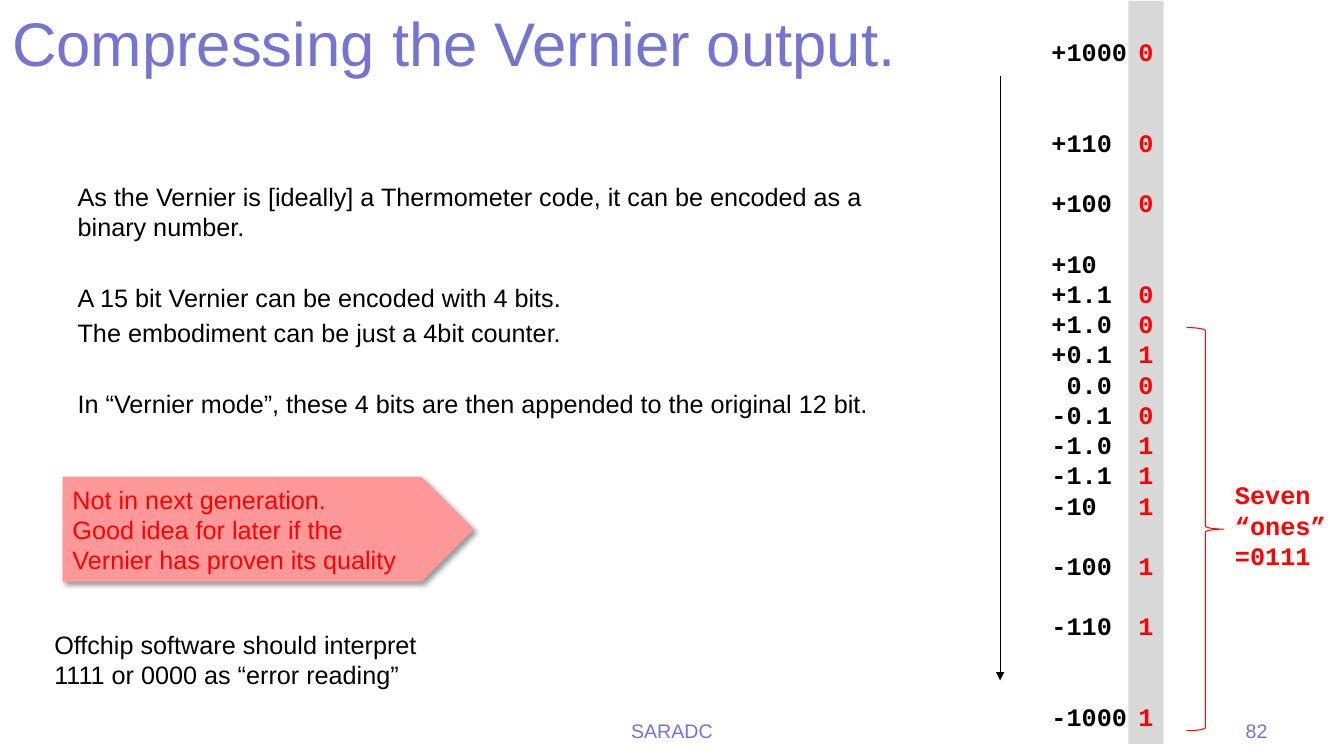
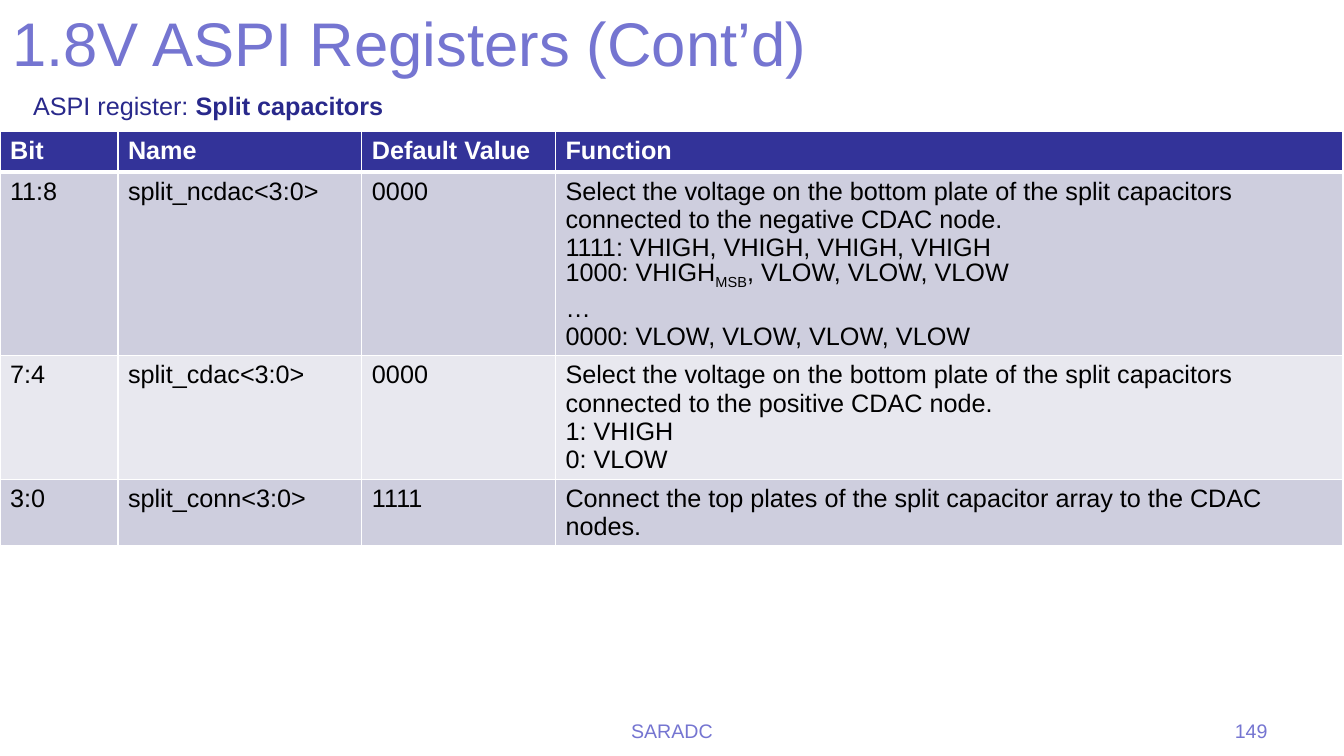
from pptx import Presentation
from pptx.dml.color import RGBColor
from pptx.enum.shapes import MSO_CONNECTOR, MSO_SHAPE
from pptx.enum.text import MSO_ANCHOR, MSO_AUTO_SIZE, PP_ALIGN
from pptx.oxml import parse_xml
from pptx.oxml.ns import nsdecls, qn
from pptx.util import Inches, Pt
from lxml.etree import SubElement

COLORS = {
    "title": "7575D1", "black": "000000", "red": "FF0000", "white": "FFFFFF",
    "bar": "D9D9D9", "note": "FF9999", "navy": "29298B",
    "header": "333399", "odd": "CECEDE", "even": "E8E8EF",
}
COLORS = {name: RGBColor.from_string(value) for name, value in COLORS.items()}
LINE = 21.6


def write(frame, paragraphs, color="black", size=18, font="Arial", bold=False,
          align=PP_ALIGN.LEFT, anchor=MSO_ANCHOR.TOP, wrap=True, pitch=None):
    frame.word_wrap = wrap
    frame.vertical_anchor = anchor
    for index, (gap, *spans) in enumerate(paragraphs):
        para = frame.paragraphs[0] if index == 0 else frame.add_paragraph()
        para.alignment = align
        para.line_spacing = Pt(pitch or size * 1.2)
        para.space_before = Pt(gap)
        for text, style in spans:
            span = para.add_run()
            span.text = text
            span.font.name = font
            span.font.size = Pt(size)
            span.font.bold = bold or style == "bold"
            span.font.color.rgb = COLORS[color]
            if style == "subscript":
                span._r.get_or_add_rPr().set("baseline", "-25000")


def plain(*lines):
    return [(0, (line, None)) for line in lines]


deck = Presentation()
deck.slide_width, deck.slide_height = Inches(13.33), Inches(7.5)

pages = []
for layout, title, number in [
    (1, "Compressing the Vernier output.", "82"),
    (5, "1.8V ASPI Registers (Cont’d)", "149"),
]:
    page = deck.slides.add_slide(deck.slide_layouts[layout])
    pages.append(page)
    heading = page.shapes.title
    heading.left, heading.top = Inches(0.02), Inches(0)
    heading.width, heading.height = Inches(12), Inches(1.25)
    heading.text_frame.auto_size = MSO_AUTO_SIZE.NONE
    write(heading.text_frame, plain(title), "title", 44)
    for left, width, text, align in [
        (4.11, 5.11, "SARADC", PP_ALIGN.CENTER),
        (9.56, 3.11, number, PP_ALIGN.RIGHT),
    ]:
        footer = page.shapes.add_textbox(
            Inches(left), Inches(7.08), Inches(width), Inches(0.42))
        write(footer.text_frame, plain(text), "title", 14, align=align)

vernier, registers = pages

body = vernier.placeholders[1]
body.left, body.top = Inches(0.67), Inches(1.75)
body.width, body.height = Inches(8.08), Inches(5.08)
body.text_frame.auto_size = MSO_AUTO_SIZE.NONE
tight, loose = 3.6, LINE + 7.2
write(body.text_frame, [
    (0, ("As the Vernier is [ideally] a Thermometer code, it can be encoded as a binary number.", None)),
    (loose, ("A 15 bit Vernier can be encoded with 4 bits.", None)),
    (tight, ("The embodiment can be just a 4bit counter.", None)),
    (loose, ("In “Vernier mode”, these 4 bits are then appended to the original 12 bit.", None)),
])
for para in body.text_frame.paragraphs:
    properties = para._p.get_or_add_pPr()
    properties.set("marL", "0")
    properties.set("indent", "0")
    SubElement(properties, qn("a:buNone"))

axis = vernier.shapes.add_connector(
    MSO_CONNECTOR.STRAIGHT, Inches(9.92), Inches(0.75), Inches(9.92), Inches(6.75))
axis.line.color.rgb = COLORS["black"]
axis.line.width = Pt(0.75)
SubElement(axis.line._get_or_add_ln(), qn("a:tailEnd"), type="triangle")
SubElement(axis._element.spPr, qn("a:effectLst"))

scale = [
    (0, "+1000", "0"), (2, "+110", "0"), (1, "+100", "0"), (1, "+10", None),
    (0, "+1.1", "0"), (0, "+1.0", "0"), (0, "+0.1", "1"), (0, " 0.0", "0"),
    (0, "-0.1", "0"), (0, "-1.0", "1"), (0, "-1.1", "1"), (0, "-10", "1"),
    (1, "-100", "1"), (1, "-110", "1"), (2, "-1000", "1"),
]
levels, bits, skipped = [], [], 0
for blank, level, bit in scale:
    levels.append((blank * LINE, (level, None)))
    skipped += blank
    if bit:
        bits.append((skipped * LINE, (bit, None)))
        skipped = 0
    else:
        skipped += 1

level_box = vernier.shapes.add_textbox(
    Inches(10.33), Inches(0.01), Inches(0.96), Inches(7.37))
bit_bar = vernier.shapes.add_shape(
    MSO_SHAPE.RECTANGLE, Inches(11.19), Inches(0.01), Inches(0.35), Inches(7.37))
bit_bar.shadow.inherit = False
bit_bar.fill.solid()
bit_bar.fill.fore_color.rgb = COLORS["bar"]
bit_bar.line.fill.background()
for box, column, color, align in [
    (level_box, levels, "black", PP_ALIGN.LEFT),
    (bit_bar, bits, "red", PP_ALIGN.CENTER),
]:
    box.text_frame.margin_top = Inches(0.35)
    write(box.text_frame, column, color, font="Courier New", bold=True,
          align=align, wrap=False)

brace = vernier.shapes.add_shape(
    MSO_SHAPE.RIGHT_BRACE, Inches(11.77), Inches(3.25), Inches(0.37), Inches(4))
brace.shadow.inherit = False
brace.fill.background()
brace.line.color.rgb = COLORS["red"]
brace.line.width = Pt(0.75)

ones = vernier.shapes.add_textbox(
    Inches(12.15), Inches(4.71), Inches(1.19), Inches(1.01))
write(ones.text_frame, plain("Seven “ones”", "=0111"), "red",
      font="Courier New", bold=True)

note = vernier.shapes.add_shape(
    MSO_SHAPE.RIGHT_ARROW, Inches(0.62), Inches(4.73), Inches(4.08), Inches(1.04))
note.adjustments[0], note.adjustments[1] = 1, 0.5
note.fill.solid()
note.fill.fore_color.rgb = COLORS["note"]
note.line.fill.background()
note._element.spPr.append(parse_xml(
    f'<a:effectLst {nsdecls("a")}><a:outerShdw blurRad="50800" dist="38100" '
    'dir="2700000" algn="tl" rotWithShape="0"><a:srgbClr val="000000">'
    '<a:alpha val="40000"/></a:srgbClr></a:outerShdw></a:effectLst>'))
write(note.text_frame, plain(
    "Not in next generation.",
    "Good idea for later if the Vernier has proven its quality",
), "red", anchor=MSO_ANCHOR.MIDDLE)

software = vernier.shapes.add_textbox(
    Inches(0.44), Inches(6.19), Inches(3.86), Inches(0.71))
write(software.text_frame, plain(
    "Offchip software should interpret 1111 or 0000 as “error reading”"))

rows = [
    (0.41, "header", [plain(name) for name in ("Bit", "Name", "Default Value", "Function")]),
    (1.82, "odd", [plain("11:8"), plain("split_ncdac<3:0>"), plain("0000"), [
        *plain("Select the voltage on the bottom plate of the split capacitors connected to the negative CDAC node.",
               "1111: VHIGH, VHIGH, VHIGH, VHIGH"),
        (0, ("1000: VHIGH", None), ("MSB", "subscript"), (", VLOW, VLOW, VLOW", None)),
        (2.6, ("…", None)),
        *plain("0000: VLOW, VLOW, VLOW, VLOW"),
    ]]),
    (1.22, "even", [plain("7:4"), plain("split_cdac<3:0>"), plain("0000"), plain(
        "Select the voltage on the bottom plate of the split capacitors connected to the positive CDAC node.",
        "1: VHIGH", "0: VLOW")]),
    (0.66, "odd", [plain("3:0"), plain("split_conn<3:0>"), plain("1111"), plain(
        "Connect the top plates of the split capacitor array to the CDAC nodes.")]),
]
widths = [1.17, 2.42, 1.92, 7.81]
table = registers.shapes.add_table(
    len(rows), len(widths), Inches(0), Inches(1.3),
    Inches(sum(widths)), Inches(sum(row[0] for row in rows))).table
for column, width in zip(table.columns, widths):
    column.width = Inches(width)
for row_index, (height, fill, cells) in enumerate(rows):
    table.rows[row_index].height = Inches(height)
    header = fill == "header"
    for column_index, paragraphs in enumerate(cells):
        cell = table.cell(row_index, column_index)
        for side in ("L", "R", "T", "B"):
            thick = (header and side == "B") or (row_index == 1 and side == "T")
            border = SubElement(cell._tc.get_or_add_tcPr(), qn(f"a:ln{side}"),
                                w=str(Pt(3 if thick else 1)))
            paint = SubElement(border, qn("a:solidFill"))
            SubElement(paint, qn("a:srgbClr"), val=str(COLORS["white"]))
        cell.fill.solid()
        cell.fill.fore_color.rgb = COLORS[fill]
        write(cell.text_frame, paragraphs, "white" if header else "black",
              bold=header, pitch=20.2)

subtitle = registers.shapes.add_textbox(
    Inches(0.23), Inches(0.85), Inches(3.71), Inches(0.4))
write(subtitle.text_frame,
      [(0, ("ASPI register: ", None), ("Split capacitors", "bold"))],
      "navy", wrap=False)

deck.save("out.pptx")
